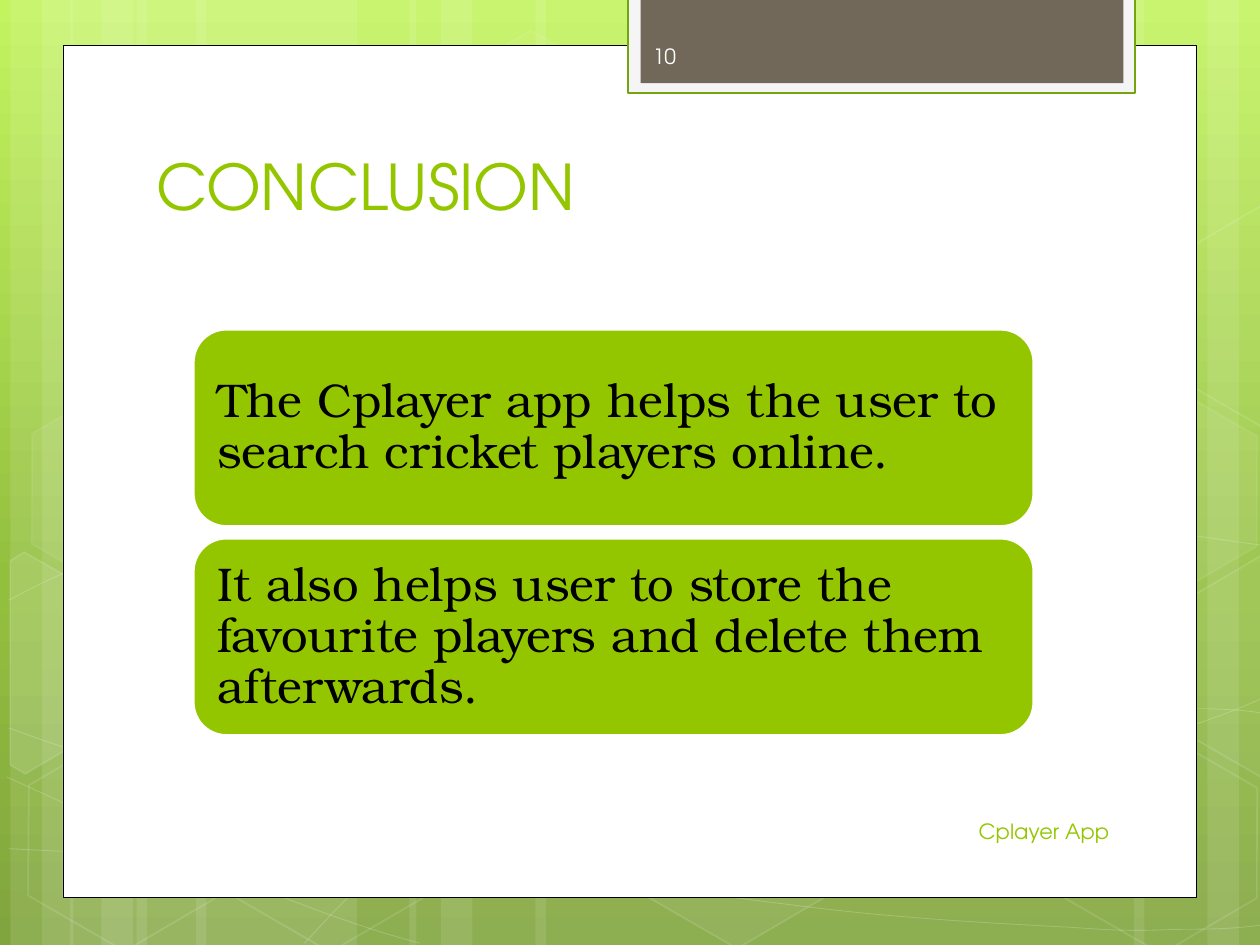
import copy
import math
import pptx
import pptx.util
import pptx.dml.color
import pptx.enum.shapes
import pptx.enum.text
import pptx.oxml.ns
import lxml.etree

Pt = pptx.util.Pt
RGB = pptx.dml.color.RGBColor
MSO = pptx.enum.shapes.MSO_SHAPE
ANCHOR = pptx.enum.text.MSO_ANCHOR
ALIGN = pptx.enum.text.PP_ALIGN
qn = pptx.oxml.ns.qn

WHITE = RGB(0xFF, 0xFF, 0xFF)
BLACK = RGB(0, 0, 0)
GREEN = RGB(0x94, 0xC6, 0x00)
DARK_GREEN = RGB(0x74, 0xA5, 0x10)
PALE = RGB(0xF5, 0xF5, 0xF5)
BROWN = RGB(0x71, 0x68, 0x5A)
NUMBER = RGB(0xFE, 0xFE, 0xFE)
BACKDROP = [(0, RGB(0xC3, 0xF3, 0x5F)), (0.62, RGB(0x93, 0xBF, 0x3F)), (1, RGB(0x81, 0xA5, 0x3E))]
SANS, SERIF = "TeX Gyre Adventor", "TeX Gyre Bonum"
TILT = 30


def paint(sp, fill=None, line=None, width=1, fill_alpha=100, line_alpha=100):
    sp.shadow.inherit = False
    for fmt, color, alpha in ((sp.fill, fill, fill_alpha), (sp.line.fill, line, line_alpha)):
        if color is None:
            fmt.background()
            continue
        fmt.solid()
        fmt.fore_color.rgb = color
        if alpha < 100:
            part = sp.element.spPr if fmt is sp.fill else sp.element.spPr.find(qn("a:ln"))
            clr = part.find(qn("a:solidFill"))[0]
            lxml.etree.SubElement(clr, qn("a:alpha"), val=str(alpha * 1000))
    if line is not None:
        sp.line.width = Pt(width)


def write(sp, text, font, frame, align=ALIGN.LEFT, spacing=1.0):
    tf = sp.text_frame
    tf.text = text
    base = {"word_wrap": True, "auto_size": pptx.enum.text.MSO_AUTO_SIZE.NONE}
    for key, value in {**base, **frame}.items():
        setattr(tf, key, value)
    p = tf.paragraphs[0]
    p.alignment, p.line_spacing = align, spacing
    r = p.runs[0]
    for key, value in font.items():
        if key == "color":
            r.font.color.rgb = value
        else:
            setattr(r.font, key, value)


prs = pptx.Presentation()
prs.slide_width, prs.slide_height = Pt(720), Pt(540)
s = prs.slides.add_slide(prs.slide_layouts[5])

bg = s.background.fill
bg.gradient()
bg.gradient_angle = 270
stops = list(s.element.iter(qn("a:gs")))
stops[0].addnext(copy.deepcopy(stops[0]))
for stop, (pos, color) in zip(bg.gradient_stops, BACKDROP):
    stop.position = pos
    stop.color.rgb = color

stripes = [(78, 126), (6, 36), (24, 60), (112, 126), (40, 36), (58, 60),
           (528, 126), (690, 36), (648, 60), (306, 222), (234, 36), (252, 60)]
for x, w in stripes:
    sp = s.shapes.add_shape(MSO.RECTANGLE, Pt(x), 0, Pt(w), Pt(540))
    paint(sp, WHITE, fill_alpha=10)

curves = [
    [(5, 485), (44, 487), (83, 489), (137, 488), (191, 487), (258, 486), (330, 479),
     (402, 472), (504, 458), (570, 444), (636, 431), (703, 409), (725, 397)],
    [(5, 343), (26, 332), (47, 321), (87, 310), (128, 300), (186, 284), (250, 279),
     (314, 274), (392, 273), (471, 279), (550, 284), (682, 307), (725, 312)],
    [(4, 444), (91, 484), (178, 523), (240, 539)],
    [(5, 416), (27, 424), (50, 432), (92, 444), (134, 454), (197, 472), (257, 485),
     (317, 497), (392, 510), (452, 517), (512, 525), (576, 528), (614, 530),
     (652, 533), (662, 531), (680, 531), (699, 531), (712, 530), (725, 528)],
    [(174, 539), (187, 525), (200, 510), (217, 498), (235, 485), (259, 470), (279, 460),
     (300, 450), (312, 446), (338, 438), (364, 431), (413, 421), (438, 416),
     (464, 411), (467, 411), (490, 410), (512, 408), (547, 405), (572, 405),
     (597, 404), (638, 405), (638, 405), (654, 405), (670, 405), (686, 405),
     (699, 405), (711, 406), (718, 407), (724, 408), (722, 407), (724, 408)],
]
for curve in curves:
    points = [(Pt(x), Pt(y)) for x, y in curve]
    fb = s.shapes.build_freeform(*points[0])
    fb.add_line_segments(points[1:], close=False)
    sp = fb.convert_to_shape()
    segments = list(sp.element.iter(qn("a:lnTo")))
    for i in range(0, len(segments), 3):
        bezier = lxml.etree.Element(qn("a:cubicBezTo"))
        segments[i].addprevious(bezier)
        for segment in segments[i:i + 3]:
            bezier.append(segment[0])
            segment.getparent().remove(segment)
    paint(sp, None, WHITE, 0.5, line_alpha=20)

hexagons = [(240.5, 26, 4, 8), (358, 424, 6, 12), (8, 425.5, 0, 12), (10, 224.5, 7, 8),
            (125.5, 426, 0, 12), (542, 326, 10, 12), (600.5, 427, 0, 12), (600.5, 226, 7, 8)]
for x, y, fill_alpha, line_alpha in hexagons:
    sp = s.shapes.add_shape(MSO.HEXAGON, Pt(x), Pt(y), Pt(126), Pt(109.5))
    sp.adjustments[0], sp.adjustments[1] = 0.285, 1.155
    sp.rotation = TILT
    paint(sp, WHITE if fill_alpha else None, WHITE, 1, fill_alpha, line_alpha)

cut_hexagons = [
    (10, (25.9, 385.2), [(5.8, 320.4), (13.7, 315.4), (69.1, 347), (68.4, 410.4),
                         (14.4, 442.1), (5.8, 437)]),
    (4, (709.2, 374.4), [(666.7, 349.2), (720.7, 317.5), (726.5, 321.1), (726.5, 441.4),
                         (721.4, 444.2), (666.7, 412.6)]),
    (0, (709.2, 173.5), [(666.7, 149), (720.7, 117.4), (727.2, 121), (726.5, 241.2),
                         (721.4, 244.1), (666.7, 212.4)]),
]
cos, sin = math.cos(math.radians(TILT)), math.sin(math.radians(TILT))
for fill_alpha, (cx, cy), corners in cut_hexagons:
    points = [(Pt(cx + (x - cx) * cos + (y - cy) * sin),
               Pt(cy - (x - cx) * sin + (y - cy) * cos)) for x, y in corners]
    fb = s.shapes.build_freeform(*points[0])
    fb.add_line_segments(points[1:], close=True)
    sp = fb.convert_to_shape()
    sp.rotation = TILT
    paint(sp, WHITE if fill_alpha else None, WHITE, 1, fill_alpha, 12)

panels = [((36, 25.8, 648, 487.2), WHITE, BLACK, 0.5),
          ((359, -1.5, 289.5, 54.5), PALE, DARK_GREEN, 1.25),
          ((366, -1.5, 276, 49), BROWN, None, 0)]
for box, fill, line, width in panels:
    sp = s.shapes.add_shape(MSO.RECTANGLE, *map(Pt, box))
    paint(sp, fill, line, width)

title = s.shapes.title
title.element.getparent().append(title.element)
for key, value in {"left": 82, "top": 65.5, "width": 553, "height": 65.5}.items():
    setattr(title, key, Pt(value))
write(title, "CONCLUSION", {"size": Pt(36), "name": SANS, "color": GREEN},
      {"vertical_anchor": ANCHOR.BOTTOM})

labels = [("Cplayer App", (365.5, 460.5, 275.5, 28.8), GREEN, ALIGN.RIGHT),
          ("10", (366, 17.5, 105, 28.8), NUMBER, ALIGN.LEFT)]
for text, box, color, align in labels:
    sp = s.shapes.add_textbox(*map(Pt, box))
    write(sp, text, {"size": Pt(12), "name": SANS, "color": color},
          {"vertical_anchor": ANCHOR.MIDDLE}, align)

conclusions = ["The Cplayer app helps the user to search cricket players online.",
               "It also helps user to store the favourite players and delete them afterwards."]
for i, text in enumerate(conclusions):
    sp = s.shapes.add_shape(MSO.ROUNDED_RECTANGLE, Pt(110.6), Pt(188.3 + 119.4 * i), Pt(480), Pt(112.4))
    paint(sp, GREEN, WHITE, 1.25)
    write(sp, text, {"size": Pt(27), "name": SERIF, "color": BLACK},
          {"vertical_anchor": ANCHOR.MIDDLE, "margin_left": Pt(8), "margin_right": Pt(8)},
          spacing=0.9)

prs.save("out.pptx")
